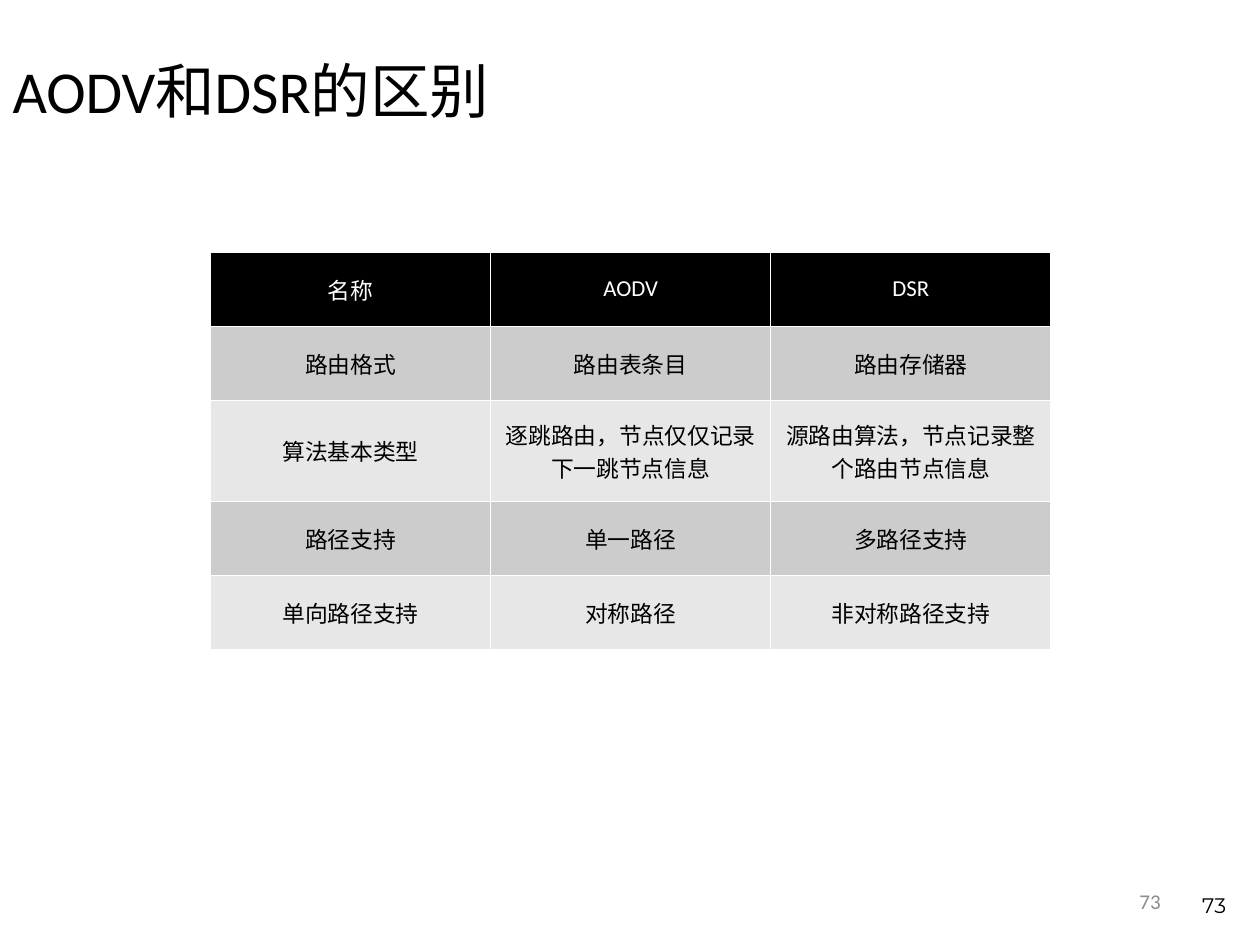
from typing import NamedTuple

from pptx import Presentation
from pptx.dml.color import RGBColor
from pptx.enum.text import MSO_ANCHOR as Anchor, PP_ALIGN as Align
from pptx.util import Inches, Pt


class Box(NamedTuple):
    left: float
    top: float
    width: float
    height: float

    def lengths(self) -> list:
        return [Inches(value) for value in self]


class Number(NamedTuple):
    box: Box
    font: str
    color: str
    anchor: Anchor


TITLE = Box(0, 0.25, 8.77, 1)
GRID = Box(1.67, 2, 6.67, 3.17)
HEIGHTS = [0.59, 0.59, 0.8, 0.59, 0.59]
HEAD, BANDS = "000000", ["CCCCCC", "E7E7E7"]
ROWS = [
    ["名称", "AODV", "DSR"],
    ["路由格式", "路由表条目", "路由存储器"],
    ["算法基本类型", "逐跳路由，节点仅仅记录下一跳节点信息",
     "源路由算法，节点记录整个路由节点信息"],
    ["路径支持", "单一路径", "多路径支持"],
    ["单向路径支持", "对称路径", "非对称路径支持"],
]
NUMBERS = [
    Number(Box(7.06, 6.95, 2.25, 0.4), "Calibri", "8C8C8C", Anchor.MIDDLE),
    Number(Box(7.5, 6.83, 2.33, 0.5), "Montserrat", "000000", Anchor.BOTTOM),
]


def paint(target, color: str) -> None:
    """Set the colour of a font, or of a fill that is already solid."""
    rgb = RGBColor.from_string(color)
    if hasattr(target, "fore_color"):
        target.fore_color.rgb = rgb
    else:
        target.color.rgb = rgb


def write(frame, text: str, *, size: float, font="Calibri", color="000000",
          align=Align.LEFT, anchor=Anchor.MIDDLE, spacing=None) -> None:
    frame.word_wrap = True
    frame.vertical_anchor = anchor
    para = frame.paragraphs[0]
    para.alignment = align
    para.line_spacing = spacing
    run = para.add_run()
    run.text = text
    run.font.size = Pt(size)
    run.font.name = font
    run.font.bold = False
    paint(run.font, color)


def add_title(slide) -> None:
    title = slide.shapes.title
    title.left, title.top, title.width, title.height = TITLE.lengths()
    write(title.text_frame, "AODV和DSR的区别", size=34, spacing=0.9)


def add_grid(slide) -> None:
    count = len(ROWS[0])
    table = slide.shapes.add_table(len(ROWS), count, *GRID.lengths()).table
    for col in table.columns:
        col.width = Inches(GRID.width / count)
    for r, (texts, height) in enumerate(zip(ROWS, HEIGHTS)):
        table.rows[r].height = Inches(height)
        back = BANDS[(r - 1) % 2] if r else HEAD
        for c, text in enumerate(texts):
            cell = table.cell(r, c)
            cell.fill.solid()
            paint(cell.fill, back)
            cell.vertical_anchor = Anchor.MIDDLE
            write(cell.text_frame, text, size=13, align=Align.CENTER,
                  color="000000" if r else "FFFFFF")


def add_number(slide, number: Number) -> None:
    box = slide.shapes.add_textbox(*number.box.lengths())
    write(box.text_frame, "73", size=12, font=number.font,
          color=number.color, align=Align.RIGHT, anchor=number.anchor)


def main() -> None:
    deck = Presentation()
    deck.slide_width, deck.slide_height = Inches(10), Inches(7.5)
    slide = deck.slides.add_slide(deck.slide_layouts.get_by_name("Title Only"))
    add_title(slide)
    add_grid(slide)
    for number in NUMBERS:
        add_number(slide, number)
    deck.save("out.pptx")


if __name__ == "__main__":
    main()
